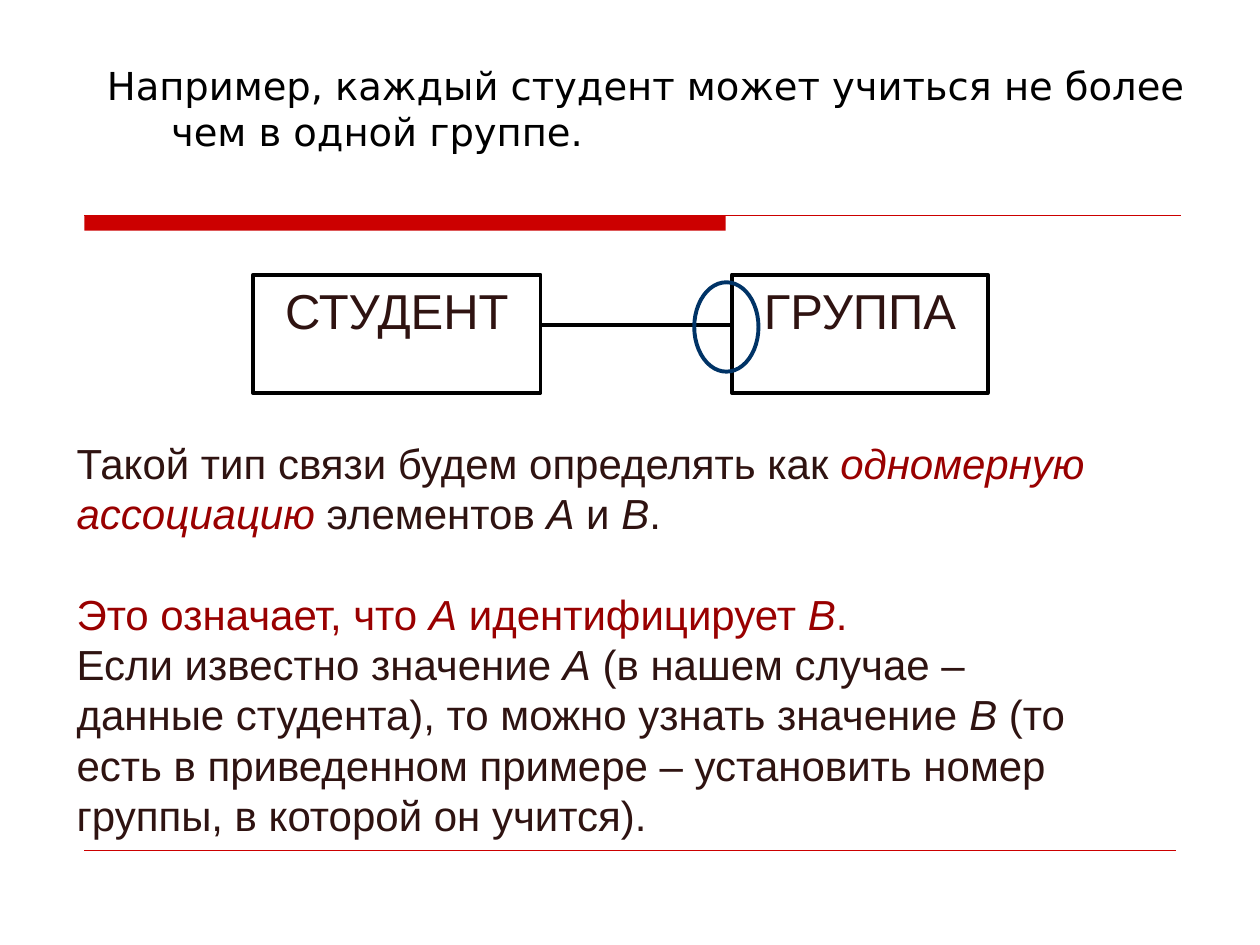
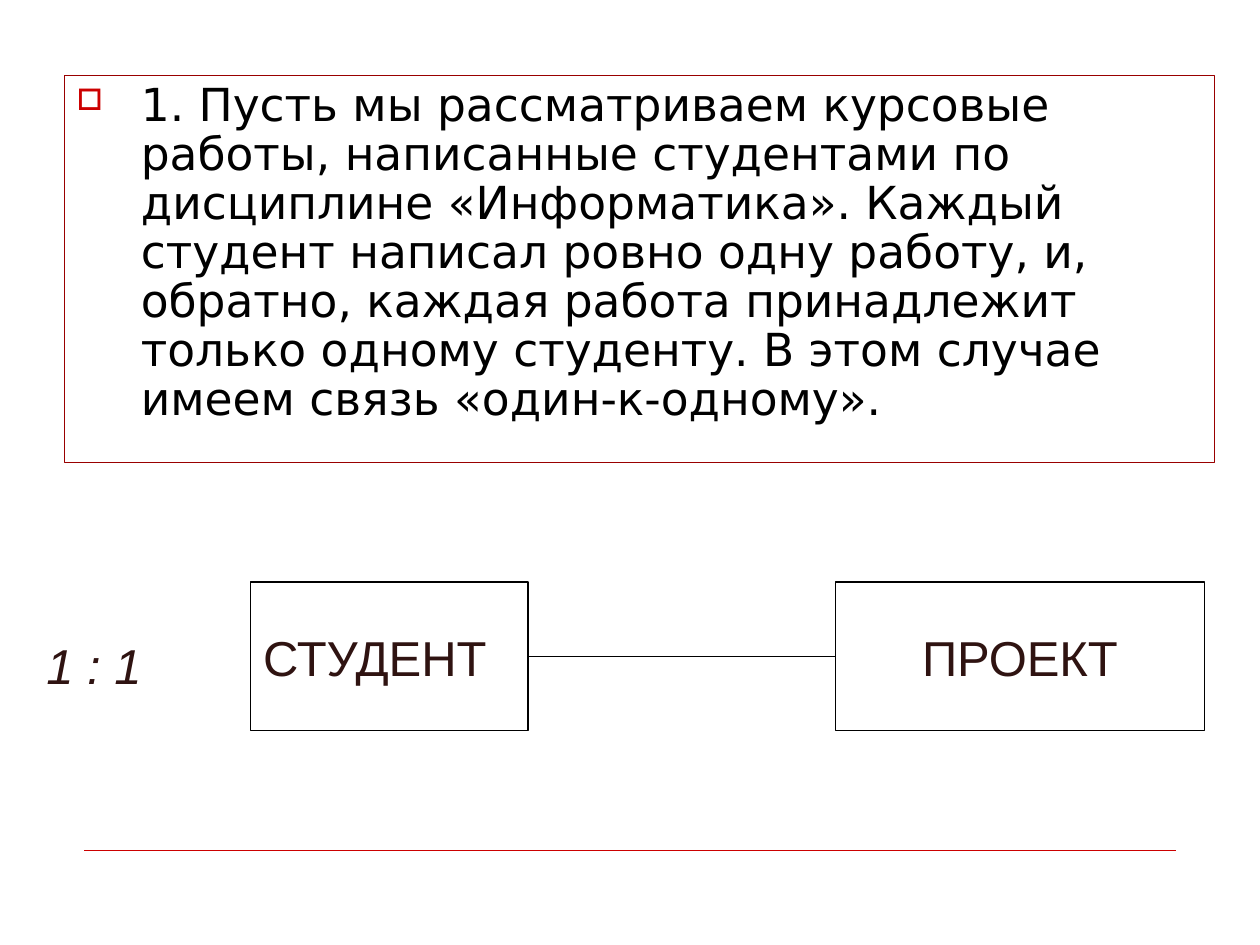
from lxml.etree import SubElement
from pptx import Presentation
from pptx.dml.color import RGBColor
from pptx.enum.shapes import MSO_CONNECTOR as Connector, MSO_SHAPE as Shape
from pptx.enum.text import MSO_ANCHOR as Anchor, PP_ALIGN as Align
from pptx.oxml.ns import qn
from pptx.util import Inches, Pt

WHITE, BLACK, RED, DARK_RED = "FFFFFF", "000000", "CC0000", "990000"
BROWN, NAVY = "2F1311", "003366"
LEFT = 0.67


def color(value):
    """Turn a hex string into a colour."""
    return RGBColor.from_string(value)


class SlideBuilder:
    """Holds the shared style and draws elements on the current slide."""

    label_font, body_font = "Arial", "DejaVu Sans"

    def __init__(self, deck):
        self.deck = deck
        self.page = None

    def new_page(self):
        self.page = self.deck.slides.add_slide(self.deck.slide_layouts[6])
        self.line(LEFT, 6.75, 9.33, RED, 0.25)

    def line(self, start, y, end, stroke, width):
        connector = self.page.shapes.add_connector(
            Connector.STRAIGHT, Inches(start), Inches(y), Inches(end), Inches(y))
        connector.line.color.rgb = color(stroke)
        connector.line.width = Pt(width)
        SubElement(connector._element.spPr, qn("a:effectLst"))

    def shape(self, kind, bounds, fill=None, stroke=None, width=0.75):
        shape = self.page.shapes.add_shape(kind, *map(Inches, bounds))
        shape.shadow.inherit = False
        if fill:
            shape.fill.solid()
            shape.fill.fore_color.rgb = color(fill)
        else:
            shape.fill.background()
        if stroke:
            shape.line.color.rgb = color(stroke)
            shape.line.width = Pt(width)
        else:
            shape.line.fill.background()
        return shape

    def title_rule(self):
        self.shape(Shape.RECTANGLE, (LEFT, 1.71, 5.09, 0.12), RED)
        self.line(LEFT, 1.71, 9.37, RED, 0.75)

    def text_box(self, bounds, anchor=Anchor.TOP):
        box = self.page.shapes.add_textbox(*map(Inches, bounds))
        self.frame(box, anchor)
        return box

    def frame(self, box, anchor):
        box.text_frame.word_wrap = True
        box.text_frame.vertical_anchor = anchor

    def add_spans(self, para, spans, size, font=label_font, align=Align.LEFT):
        para.alignment = align
        for text, fill, italic in spans:
            span = para.add_run()
            span.text = text
            span.font.name = font
            span.font.size = Pt(size)
            span.font.italic = italic
            span.font.color.rgb = color(fill)

    def entity(self, name, bounds, width, anchor, align=Align.CENTER):
        box = self.shape(Shape.RECTANGLE, bounds, WHITE, BLACK, width)
        self.frame(box, anchor)
        self.add_spans(box.text_frame.paragraphs[0], [(name, BROWN, False)], 28, align=align)

    def hanging_text(self, box, text, size, bullet=None):
        para = box.text_frame.paragraphs[0]
        props = para._p.get_or_add_pPr()
        props.set("marL", str(Inches(0.51)))
        props.set("indent", str(-Inches(0.51)))
        if bullet:
            tint = SubElement(props, qn("a:buClr"))
            SubElement(tint, qn("a:srgbClr"), val=RED)
            SubElement(props, qn("a:buSzPct"), val="65000")
            SubElement(props, qn("a:buChar"), char=bullet)
            para.line_spacing = 0.9
        self.add_spans(para, [(text, BLACK, False)], size, self.body_font)


def one_way_page(builder):
    builder.new_page()
    builder.title_rule()
    builder.hanging_text(
        builder.text_box((0.75, 0.44, 8.75, 0.97)),
        "Например, каждый студент может учиться не более чем в одной группе.", 22)

    builder.line(4.29, 2.58, 5.81, BLACK, 2.25)
    for name, left, width in (("СТУДЕНТ", 2.01, 2.28), ("ГРУППА", 5.81, 2.03)):
        builder.entity(name, (left, 2.18, width, 0.94), 2.25, Anchor.TOP)
    builder.shape(Shape.OVAL, (5.51, 2.24, 0.51, 0.71), stroke=NAVY, width=2.25)

    paragraphs = [
        (0, [("Такой тип связи будем определять как ", BROWN, False),
             ("одномерную ассоциацию", DARK_RED, True),
             (" элементов ", BROWN, False), ("А", BROWN, True),
             (" и ", BROWN, False), ("В", BROWN, True), (".", BROWN, False)]),
        (28.5, [("Это означает, что ", DARK_RED, False), ("А", DARK_RED, True),
                (" идентифицирует ", DARK_RED, False), ("В", DARK_RED, True),
                (".", DARK_RED, False)]),
        (0, [("Если известно значение ", BROWN, False), ("А", BROWN, True),
             (" (в нашем случае – данные студента), то можно узнать значение ",
              BROWN, False), ("В", BROWN, True),
             (" (то есть в приведенном примере – установить номер группы, "
              "в которой он учится).", BROWN, False)]),
    ]
    frame = builder.text_box((0.51, 3.42, 8.5, 3.3), Anchor.MIDDLE).text_frame
    for index, (gap, spans) in enumerate(paragraphs):
        para = frame.add_paragraph() if index else frame.paragraphs[0]
        if gap:
            para.space_before = Pt(gap)
        builder.add_spans(para, spans, 24)


def one_to_one_page(builder):
    builder.new_page()
    box = builder.shape(Shape.RECTANGLE, (0.51, 0.6, 9.13, 3.07), WHITE, DARK_RED)
    builder.frame(box, Anchor.TOP)
    builder.hanging_text(
        box,
        "1. Пусть мы рассматриваем курсовые работы, написанные студентами по "
        "дисциплине «Информатика». Каждый студент написал ровно одну работу, и, "
        "обратно, каждая работа принадлежит только одному студенту. В этом случае "
        "имеем связь «один-к-одному».", 26, "□")

    for name, left, width, align in (("СТУДЕНТ", 1.99, 2.2, Align.LEFT),
                                     ("ПРОЕКТ", 6.63, 2.93, Align.CENTER)):
        builder.entity(name, (left, 4.62, width, 1.18), 0.75, Anchor.MIDDLE, align)
    builder.line(4.19, 5.21, 6.63, BLACK, 0.75)
    ratio = builder.text_box((0.27, 4.8, 1.22, 0.95), Anchor.MIDDLE)
    builder.add_spans(ratio.text_frame.paragraphs[0], [("1 : 1", BROWN, True)], 28)


def main():
    deck = Presentation()
    deck.slide_width, deck.slide_height = Inches(10), Inches(7.5)
    builder = SlideBuilder(deck)
    one_way_page(builder)
    one_to_one_page(builder)
    deck.save("out.pptx")


if __name__ == "__main__":
    main()
